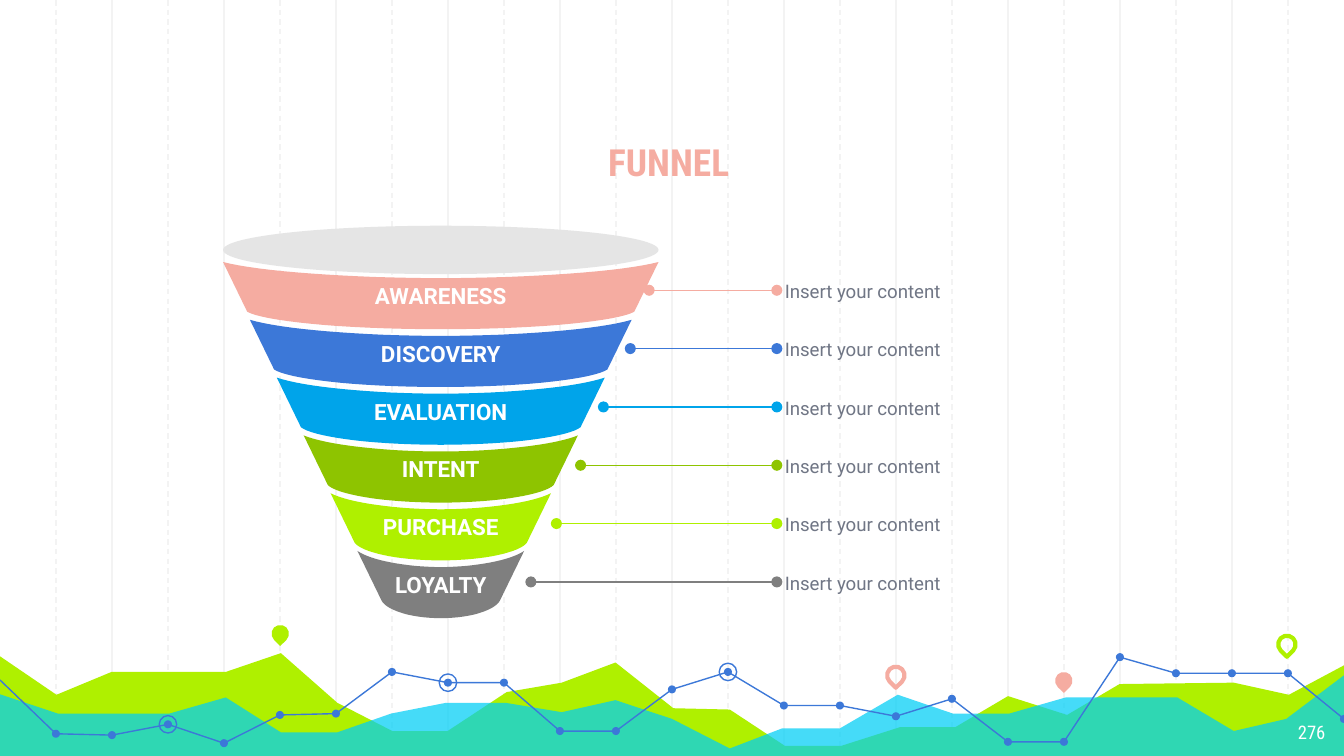
from dataclasses import dataclass
from typing import Any, NamedTuple

import lxml.etree
import pptx
import pptx.dml.color
import pptx.enum.dml
import pptx.enum.shapes
import pptx.enum.text
import pptx.oxml
import pptx.oxml.ns
import pptx.util

Inches = pptx.util.Inches
SHAPE = pptx.enum.shapes.MSO_SHAPE
ALIGN = pptx.enum.text.PP_ALIGN
ANCHOR = pptx.enum.text.MSO_ANCHOR


@dataclass(frozen=True)
class Theme:
    body: str = "Roboto"
    display: str = "Roboto Condensed"
    white: str = "FFFFFF"
    grid: str = "F3F3F3"
    rim: str = "E5E5E5"
    text: str = "707685"
    pink: str = "F5ACA1"
    blue: str = "3C78D8"
    sky: str = "00A4EA"
    cyan: str = "00CEF6"
    green: str = "8EC400"
    lime: str = "AFF000"
    gray: str = "7F7F7F"
    title_size: float = 20
    label_size: float = 12
    note_size: float = 10
    thin: float = 0.75
    thick: float = 2.25


class Point(NamedTuple):
    x: float
    y: float


class Stage(NamedTuple):
    label: str
    color: str
    line_start: float


class Pin(NamedTuple):
    x: float
    y: float
    color: str
    filled: bool


T = Theme()
COLUMN = 5 / 12
AXIS = 3.28
STAGE_STEP = 0.43

STAGES = [
    Stage("AWARENESS", T.pink, 4.83),
    Stage("DISCOVERY", T.blue, 4.69),
    Stage("EVALUATION", T.sky, 4.49),
    Stage("INTENT", T.green, 4.32),
    Stage("PURCHASE", T.lime, 4.14),
    Stage("LOYALTY", T.gray, 3.95),
]
PINS = [
    Pin(2.02, 4.65, T.lime, True),
    Pin(6.6, 4.96, T.pink, False),
    Pin(7.85, 5, T.pink, True),
    Pin(9.51, 4.73, T.lime, False),
]
LIME_AREA = [
    Point(-0.02, 4.87), Point(0.42, 5.17), Point(0.83, 5), Point(1.68, 5), Point(2.09, 4.86),
    Point(2.51, 5.23), Point(2.92, 5.44), Point(3.33, 5.44), Point(3.77, 5.15), Point(4.18, 5.08),
    Point(4.58, 4.93), Point(5.01, 5.27), Point(5.43, 5.28), Point(5.84, 5.55), Point(6.26, 5.55),
    Point(6.7, 5.41), Point(7.11, 5.41), Point(7.5, 5.18), Point(7.94, 5.32), Point(8.33, 5.09),
    Point(9.18, 5.08), Point(9.59, 5.17), Point(10.02, 4.94), Point(10.02, 5.64), Point(-0.03, 5.64),
]
CYAN_AREA = [
    Point(-0.02, 5.16), Point(0.43, 5.31), Point(1.26, 5.31), Point(1.68, 5.19), Point(2.09, 5.45),
    Point(2.51, 5.45), Point(2.91, 5.31), Point(3.32, 5.23), Point(3.76, 5.23), Point(4.18, 5.3),
    Point(4.58, 5.21), Point(5, 5.35), Point(5.43, 5.57), Point(5.82, 5.42), Point(6.25, 5.42),
    Point(6.68, 5.17), Point(7.09, 5.31), Point(7.51, 5.31), Point(7.93, 5.19), Point(8.76, 5.19),
    Point(9.18, 5.44), Point(9.57, 5.35), Point(10.02, 5.01), Point(10.02, 5.65), Point(-0.03, 5.65),
]
TREND_HEIGHTS = [
    5.06, 5.46, 5.47, 5.39, 5.53, 5.32, 5.31, 5, 5.08, 5.08, 5.44, 5.44, 5.13,
    5, 5.25, 5.25, 5.33, 5.2, 5.52, 5.52, 4.89, 5.01, 5.01, 5.01, 5.35,
]
RINGED = (3, 8, 13)


def set_values(obj: Any, values: dict[str, Any]) -> None:
    for name, value in values.items():
        setattr(obj, name, value)


def rgb(color: str) -> pptx.dml.color.RGBColor:
    return pptx.dml.color.RGBColor.from_string(color)


def paint(sp: Any, fill: str | None = None, line: str | None = None, width: float = T.thin) -> None:
    sp.shadow.inherit = False
    if fill:
        sp.fill.solid()
        sp.fill.fore_color.rgb = rgb(fill)
    else:
        sp.fill.background()
    if line:
        sp.line.color.rgb = rgb(line)
        sp.line.width = pptx.util.Pt(width)
    else:
        sp.line.fill.background()


def write(sp: Any, text: str, color: str, size: float, font: str, bold: bool = False,
          align: Any = ALIGN.LEFT, anchor: Any = ANCHOR.MIDDLE, inset: float = 0) -> None:
    tf = sp.text_frame
    sides = ("margin_left", "margin_top", "margin_right", "margin_bottom")
    set_values(tf, {"word_wrap": True, "vertical_anchor": anchor, **dict.fromkeys(sides, Inches(inset))})
    p = tf.paragraphs[0]
    p.alignment = align
    r = p.add_run()
    r.text = text
    set_values(r.font, {"name": font, "size": pptx.util.Pt(size), "bold": bold})
    r.font.color.rgb = rgb(color)


def box(x: float, y: float, w: float, h: float) -> tuple[int, ...]:
    return tuple(Inches(v) for v in (x, y, w, h))


def add_line(s: Any, start: Point, end: Point, color: str, dashed: bool = False, dots: bool = False) -> None:
    ends = (Inches(v) for v in (*start, *end))
    line = s.shapes.add_connector(pptx.enum.shapes.MSO_CONNECTOR.STRAIGHT, *ends)
    line.line.color.rgb = rgb(color)
    line.line.width = pptx.util.Pt(T.thin)
    if dashed:
        line.line.dash_style = pptx.enum.dml.MSO_LINE.DASH
    qn = pptx.oxml.ns.qn
    props = line.element.find(qn("p:spPr"))
    if dots:
        for tag in ("a:headEnd", "a:tailEnd"):
            lxml.etree.SubElement(props.find(qn("a:ln")), qn(tag), type="oval")
    lxml.etree.SubElement(props, qn("a:effectLst"))


def add_outline(s: Any, points: list[Point], closed: bool = True) -> Any:
    first, *rest = [(Inches(p.x), Inches(p.y)) for p in points]
    builder = s.shapes.build_freeform(*first)
    builder.add_line_segments(rest, close=closed)
    return builder.convert_to_shape()


def add_circle(s: Any, center: Point, size: float, fill: str | None = None, line: str | None = None) -> None:
    sp = s.shapes.add_shape(SHAPE.OVAL, *box(center.x - size / 2, center.y - size / 2, size, size))
    paint(sp, fill, line)


def add_pin(s: Any, pin: Pin) -> None:
    sp = s.shapes.add_shape(SHAPE.TEAR, *box(pin.x, pin.y, 0.13, 0.13))
    sp.rotation = 135
    paint(sp, pin.color if pin.filled else None, None if pin.filled else pin.color, T.thick)


def arc(half: float, y: float, dip: float, controls: list[Point]) -> list[Point]:
    a, b = controls
    left = []
    for t in (i / 16 for i in range(17)):
        u = 1 - t
        x = u**3 + 3 * u * u * t * a.x + 3 * u * t * t * b.x
        d = 3 * u * u * t * a.y + 3 * u * t * t * b.y + t**3
        left.append(Point(AXIS - half * x, y + dip * d))
    return left + [Point(2 * AXIS - p.x, p.y) for p in reversed(left[:-1])]


def add_stage(s: Any, index: int, stage: Stage) -> None:
    top = 1.95 + STAGE_STEP * index
    upper = arc(1.62 - 0.2 * index, top, 0.12, [Point(0.84, 0.58), Point(0.41, 1)])
    lower = arc(1.44 - 0.2 * index, top + 0.37, 0.13, [Point(0.92, 0.5), Point(0.54, 1)])
    sp = add_outline(s, upper + lower[::-1])
    paint(sp, stage.color)
    write(sp, stage.label, T.white, T.label_size, T.body, True, ALIGN.CENTER)


def add_note(s: Any, index: int, stage: Stage) -> None:
    y = 2.16 + 0.434 * index
    add_line(s, Point(stage.line_start, y), Point(5.78, y), stage.color, dots=True)
    tb = s.shapes.add_textbox(*box(5.84, y - 0.15, 2.5, 0.31))
    write(tb, "Insert your content", T.text, T.note_size, T.body)


def add_backdrop(s: Any) -> None:
    for k in range(1, 24):
        add_line(s, Point(k * COLUMN, 0), Point(k * COLUMN, 5.65), T.grid, dashed=k % 2 == 1)
    paint(add_outline(s, LIME_AREA), T.lime)
    water = add_outline(s, CYAN_AREA)
    paint(water, T.cyan)
    color = water.element.find(".//" + pptx.oxml.ns.qn("a:srgbClr"))
    lxml.etree.SubElement(color, pptx.oxml.ns.qn("a:alpha"), val="73000")
    for pin in PINS:
        add_pin(s, pin)
    trend = [Point(k * COLUMN, y) for k, y in enumerate(TREND_HEIGHTS)]
    paint(add_outline(s, trend, closed=False), line=T.blue)
    for p in trend[1:]:
        add_circle(s, p, 0.06, fill=T.blue)
    for k in RINGED:
        add_circle(s, trend[k], 0.13, line=T.blue)


def main() -> None:
    prs = pptx.Presentation()
    set_values(prs, {"slide_width": Inches(10), "slide_height": Inches(10) * 9 // 16})
    s = prs.slides.add_slide(prs.slide_layouts[5])
    add_backdrop(s)
    title = s.shapes.title
    title.element.getparent().append(title.element)
    set_values(title, dict(zip(("left", "top", "width", "height"), box(1.15, 0.69, 7.65, 0.78))))
    write(title, "FUNNEL", T.pink, T.title_size, T.display, True, ALIGN.CENTER, ANCHOR.BOTTOM, 0.1)
    number = s.shapes.add_textbox(*box(9.36, 5.28, 0.6, 0.35))
    write(number, "276", T.white, T.note_size, T.display, False, ALIGN.RIGHT, ANCHOR.TOP, 0.1)
    for i, stage in enumerate(STAGES):
        add_stage(s, i, stage)
    rim = s.shapes.add_shape(SHAPE.OVAL, *box(1.66, 1.68, 3.24, 0.36))
    paint(rim, T.rim)
    for i, stage in enumerate(STAGES):
        add_note(s, i, stage)
    prs.save("out.pptx")


if __name__ == "__main__":
    main()
